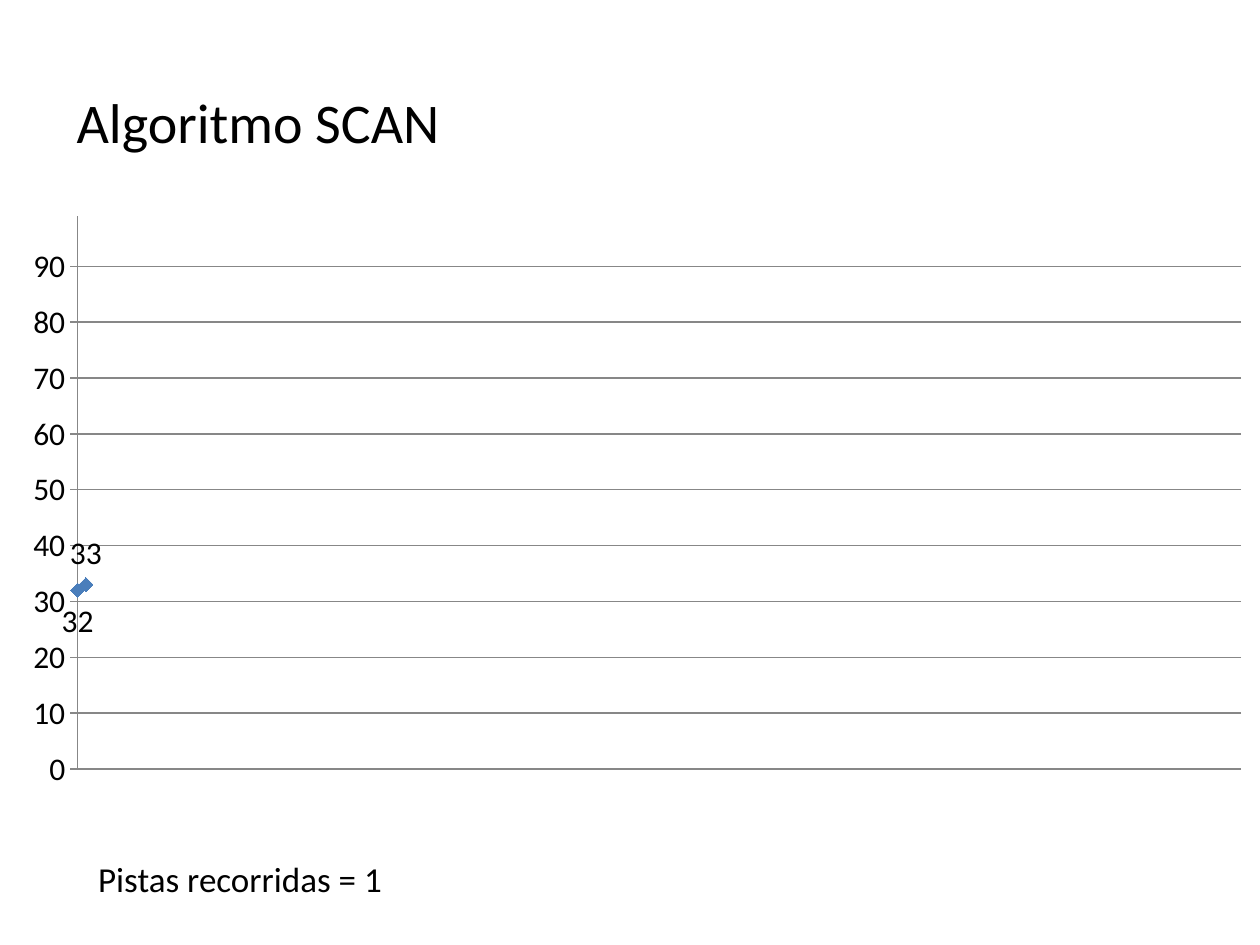
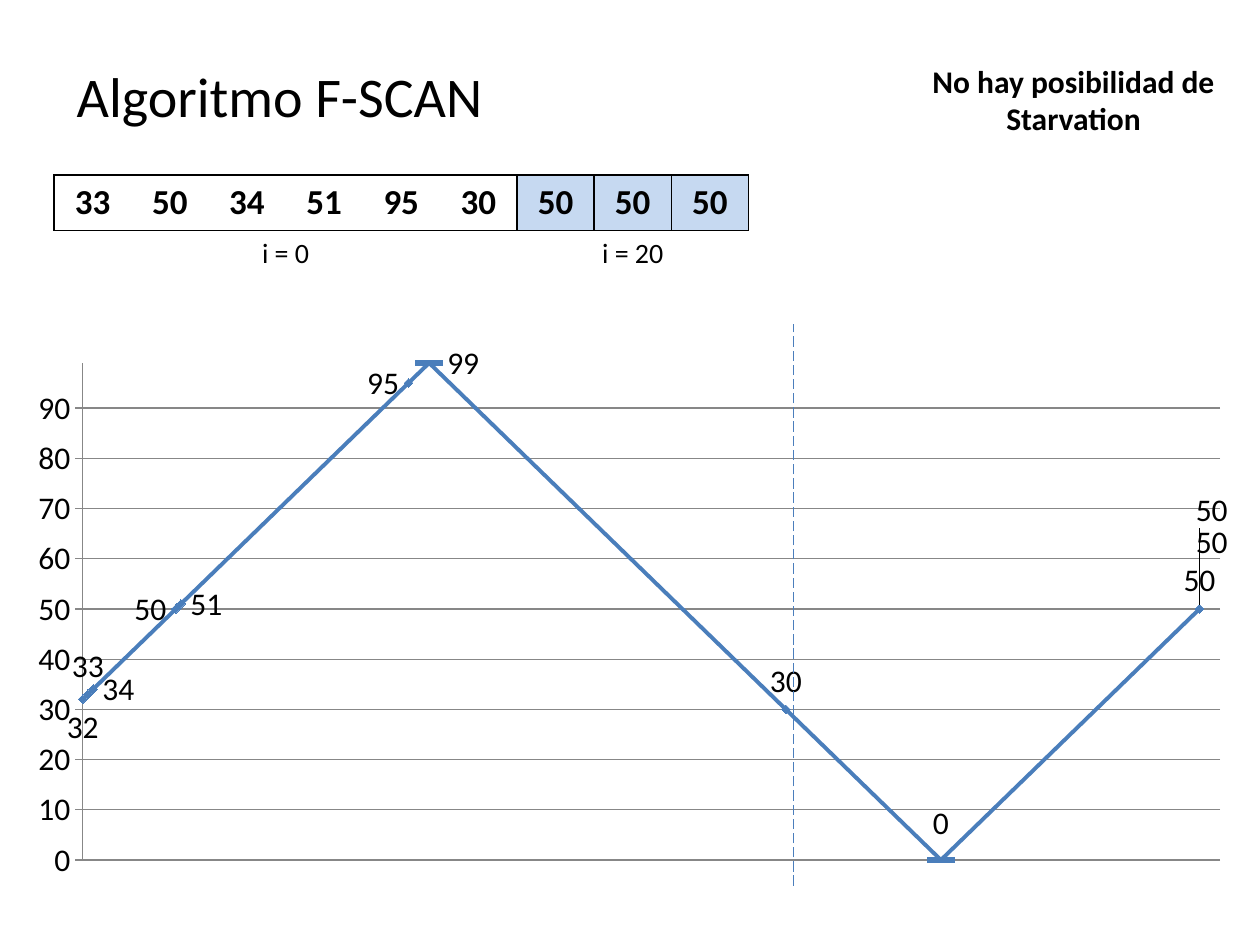
from lxml import etree
from pptx import Presentation
from pptx.chart.data import XyChartData
from pptx.dml.color import RGBColor
from pptx.enum.chart import (XL_CHART_TYPE, XL_LABEL_POSITION, XL_MARKER_STYLE,
                             XL_TICK_LABEL_POSITION, XL_TICK_MARK)
from pptx.enum.dml import MSO_LINE
from pptx.enum.shapes import MSO_CONNECTOR
from pptx.enum.text import MSO_ANCHOR, PP_ALIGN
from pptx.oxml import parse_xml
from pptx.oxml.ns import nsdecls, qn
from pptx.util import Inches, Pt

ABOVE, BELOW = XL_LABEL_POSITION.ABOVE, XL_LABEL_POSITION.BELOW
LEFT, RIGHT = XL_LABEL_POSITION.LEFT, XL_LABEL_POSITION.RIGHT
DIAMOND, DASH = XL_MARKER_STYLE.DIAMOND, XL_MARKER_STYLE.DASH
SCATTER_LINES = XL_CHART_TYPE.XY_SCATTER_LINES
NO_LABELS = XL_TICK_LABEL_POSITION.NONE
NO_TICKS, TICKS_OUTSIDE = XL_TICK_MARK.NONE, XL_TICK_MARK.OUTSIDE
LONG_DASH = MSO_LINE.LONG_DASH
STRAIGHT = MSO_CONNECTOR.STRAIGHT
MIDDLE, TOP = MSO_ANCHOR.MIDDLE, MSO_ANCHOR.TOP
ALIGN_LEFT, ALIGN_CENTER = PP_ALIGN.LEFT, PP_ALIGN.CENTER

WIDTH, HEIGHT = Inches(10), Inches(7.5)
COLUMNS, ROWS = 100, 75
FONT = "Calibri"
PLAIN_TABLE = "{2D5ABB26-0587-4C30-8999-92F81FD0307C}"
LAST_TRACK = 99
COLORS = {"text": "000000", "series": "4F81BD", "head_line": "4A7EBB",
          "grid": "878787", "turn": "FF0000", "new_request": "C6D9F1",
          "divider": "4B7EBC"}


def color(name):
    return RGBColor.from_string(COLORS[name])


def apply(target, values):
    for name, value in values.items():
        setattr(target, name, value)


def manual_layout(**values):
    """Return a c:layout element with the given places as shares of the chart."""
    items = "".join(f'<c:{name} val="{value}"/>' for name, value in values.items())
    return parse_xml(f'<c:layout {nsdecls("c")}><c:manualLayout>{items}'
                     '</c:manualLayout></c:layout>')


class Deck:
    def __init__(self):
        self.presentation = Presentation()
        apply(self.presentation, {"slide_width": WIDTH, "slide_height": HEIGHT})
        self.slide = None

    def new_slide(self):
        self.slide = self.presentation.slides.add_slide(
            self.presentation.slide_layouts[6])

    def place(self, column, row, columns, rows):
        """Turn grid units into slide lengths."""
        return (int(column * WIDTH / COLUMNS), int(row * HEIGHT / ROWS),
                int(columns * WIDTH / COLUMNS), int(rows * HEIGHT / ROWS))

    def fill_frame(self, frame, text, size, bold=False, align=ALIGN_LEFT):
        paragraph = frame.paragraphs[0]
        paragraph.alignment = align
        run = paragraph.add_run()
        run.text = text
        apply(run.font, {"name": FONT, "size": Pt(size), "bold": bold})
        run.font.color.rgb = color("text")

    def text(self, box, text, size, anchor=MIDDLE, **style):
        frame = self.slide.shapes.add_textbox(*self.place(*box)).text_frame
        apply(frame, {"word_wrap": True, "vertical_anchor": anchor})
        self.fill_frame(frame, text, size, **style)

    def title(self, box, text):
        self.text(box, text, 32)

    def divider(self, column, top, bottom):
        x, y, _, height = self.place(column, top, 0, bottom - top)
        line = self.slide.shapes.add_connector(STRAIGHT, x, y + height, x, y)
        apply(line.line, {"width": Pt(0.75), "dash_style": LONG_DASH})
        line.line.color.rgb = color("divider")
        etree.SubElement(line.element.spPr, qn("a:effectLst"))

    def track_chart(self, box, plot_area, points, last_move, marker_size,
                    turns=(), label_offsets=None):
        """Draw (moves, track, label position) points as the route of the head."""
        data = XyChartData()
        series_data = data.add_series("Series 1")
        for moves, track, _ in points:
            series_data.add_data_point(moves, track)
        chart = self.slide.shapes.add_chart(
            SCATTER_LINES, *self.place(*box), data).chart
        apply(chart, {"has_legend": False, "has_title": False})
        apply(chart.font, {"name": FONT, "size": Pt(18)})
        chart.font.color.rgb = color("text")
        self.axes(chart, last_move)
        chart.plots[0].vary_by_categories = False

        series = chart.plots[0].series[0]
        series.smooth = False
        self.head_line(series)
        self.marker(series.marker, DIAMOND, marker_size, "series")
        for index, (_, _, position) in enumerate(points):
            series.points[index].data_label.position = position
        for index in turns:
            self.marker(series.points[index].marker, DASH, 15, "turn")
            self.head_line(series.points[index])
        for index, (x, y) in (label_offsets or {}).items():
            label_index = chart.element.xpath(
                f'.//c:dLbl/c:idx[@val="{index}"]')[0]
            label_index.addnext(manual_layout(x=x, y=y))

        area = chart.element.xpath(".//c:plotArea")[0]
        for old_layout in area.findall(qn("c:layout")):
            area.remove(old_layout)
        area.insert(0, manual_layout(
            layoutTarget="inner", xMode="edge", yMode="edge",
            **dict(zip("xywh", plot_area))))

    def head_line(self, target):
        target.format.line.width = Pt(2.25)
        target.format.line.color.rgb = color("head_line")

    def axes(self, chart, last_move):
        moves, tracks = chart.category_axis, chart.value_axis
        apply(moves, {"minimum_scale": 0, "maximum_scale": last_move,
                      "has_major_gridlines": False, "major_tick_mark": NO_TICKS,
                      "tick_label_position": NO_LABELS})
        apply(tracks, {"minimum_scale": 0, "maximum_scale": LAST_TRACK,
                       "major_unit": 10, "has_major_gridlines": True,
                       "major_tick_mark": TICKS_OUTSIDE})
        for part in (moves, tracks, tracks.major_gridlines):
            part.format.line.width = Pt(0.75)
            part.format.line.color.rgb = color("grid")
        for axis in (moves, tracks):
            apply(axis, {"has_title": False, "minor_tick_mark": NO_TICKS})

    def marker(self, marker, style, size, fill):
        apply(marker, {"style": style, "size": size})
        marker.format.fill.solid()
        marker.format.fill.fore_color.rgb = color(fill)
        marker.format.line.color.rgb = color(fill)

    def request_table(self, box, row_heights, groups):
        """Draw each (label, requests, fill) group as cells over a merged label."""
        requests = [(track, fill) for _, tracks, fill in groups for track in tracks]
        count = len(requests)
        frame = self.slide.shapes.add_table(2, count, *self.place(*box))
        frame.element.xpath(".//a:tableStyleId")[0].text = PLAIN_TABLE
        cell_elements = frame.element.xpath(".//a:tc")
        table = frame.table
        apply(table, {"first_row": False, "horz_banding": False})
        for row, height in zip(table.rows, row_heights):
            row.height = int(height * HEIGHT / ROWS)

        first_count = len(groups[0][1])
        ruled = {0, first_count, first_count + 1, count}
        for index, (track, fill) in enumerate(requests):
            cell = table.cell(0, index)
            sides = (("L" if index in ruled else "")
                     + ("R" if index + 1 in ruled else "") + "TB")
            self.borders(cell_elements[index], sides)
            self.borders(cell_elements[count + index], "T")
            if fill:
                cell.fill.solid()
                cell.fill.fore_color.rgb = color(fill)
            else:
                cell.fill.background()
            self.fill_frame(cell.text_frame, str(track), 20, True, ALIGN_CENTER)

        first = 0
        for label, tracks, _ in groups:
            cell = table.cell(1, first)
            first += len(tracks)
            cell.merge(table.cell(1, first - 1))
            self.fill_frame(cell.text_frame, label, 16, align=ALIGN_CENTER)

    def borders(self, cell_element, sides):
        properties = cell_element.get_or_add_tcPr()
        for side in sides:
            properties.append(parse_xml(
                f'<a:ln{side} {nsdecls("a")} w="{int(Pt(1))}"><a:solidFill>'
                f'<a:srgbClr val="{COLORS["text"]}"/></a:solidFill></a:ln{side}>'))


def scan_slide(deck):
    deck.new_slide()
    deck.track_chart((0.7, 16.2, 99.3, 47.2), (0.055, 0.02, 0.93, 0.93),
                     [(0, 32, BELOW), (1, 33, ABOVE)], 139, 8)
    deck.title((5.1, 2.9, 90, 13.4), "Algoritmo SCAN")
    deck.text((6.8, 65.8, 84.2, 7.9), "Pistas recorridas = 1", 20)


def f_scan_slide(deck):
    deck.new_slide()
    points = [(0, 32, BELOW), (1, 33, ABOVE), (2, 34, RIGHT), (18, 50, LEFT),
              (19, 51, RIGHT), (63, 95, LEFT), (67, 99, RIGHT), (136, 30, ABOVE),
              (166, 0, ABOVE)] + [(216, 50, ABOVE)] * 3
    deck.track_chart((1.2, 27.3, 97.6, 43.3), (0.055, 0.033, 0.925, 0.913),
                     points, 220, 5, turns=(6, 8),
                     label_offsets={10: (0.01, -0.07), 11: (0.01, -0.13)})
    deck.title((5.1, 3.2, 53.5, 8.7), "Algoritmo F-SCAN")
    deck.request_table((4.3, 13.9, 55.1, 8), (4.4, 3.6),
                       [("i = 0", (33, 50, 34, 51, 95, 30), None),
                        ("i = 20", (50, 50, 50), "new_request")])
    deck.divider(63, 25.7, 70.3)
    deck.text((72, 4.4, 26.4, 7.1), "No hay posibilidad de Starvation", 18,
              anchor=TOP, bold=True, align=ALIGN_CENTER)


def main():
    deck = Deck()
    scan_slide(deck)
    f_scan_slide(deck)
    deck.presentation.save("out.pptx")


if __name__ == "__main__":
    main()
